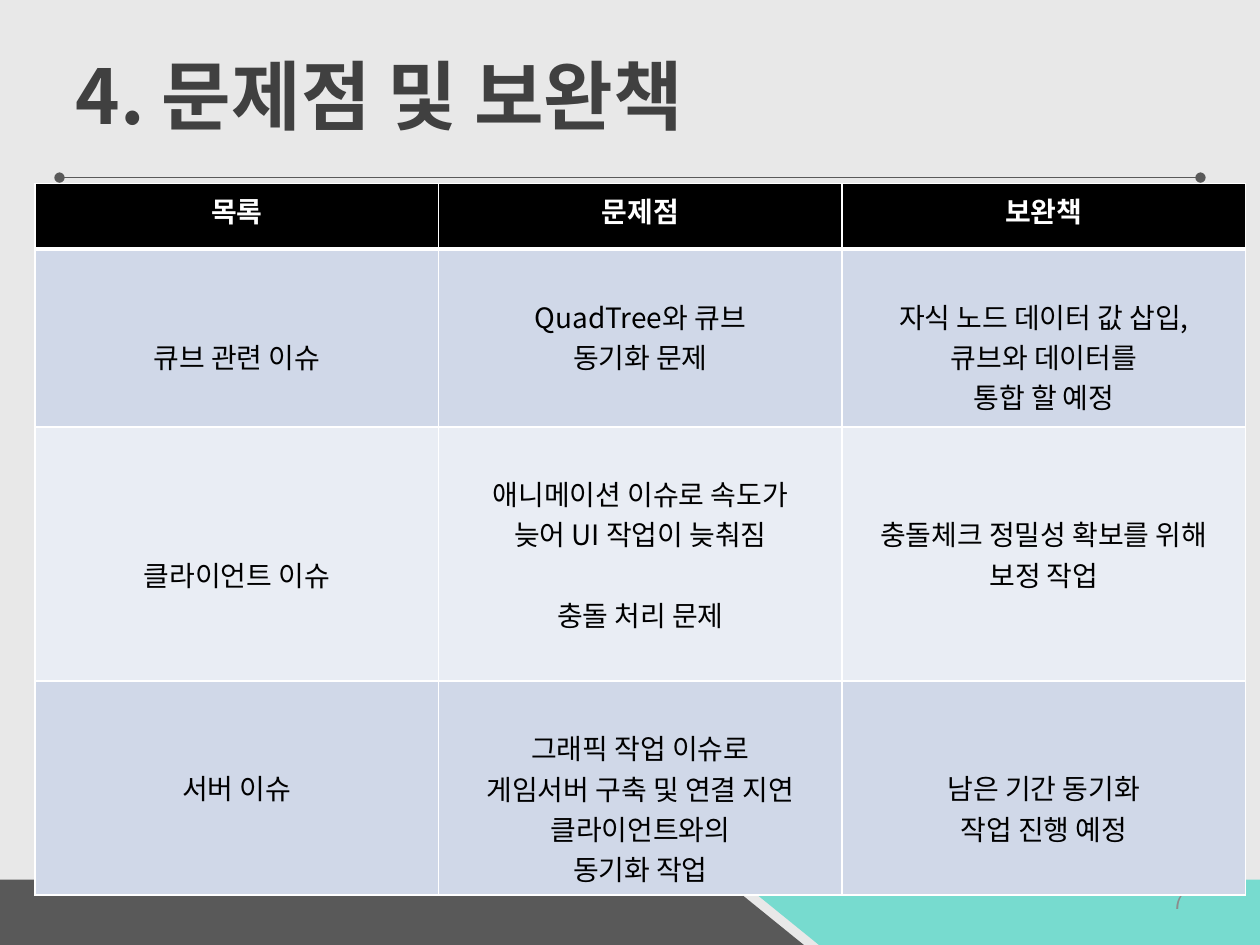
import pptx
import pptx.dml.color
import pptx.enum.shapes
import pptx.enum.text
import pptx.oxml
import pptx.oxml.ns
import pptx.util

Pt = pptx.util.Pt
ALIGN = pptx.enum.text.PP_ALIGN
MIDDLE = pptx.enum.text.MSO_ANCHOR.MIDDLE
FONT = "Noto Sans CJK KR"

# Content: each body cell is (lines left free above, paragraphs)
TITLE = "4. 문제점 및 보완책"
PAGE = "7"
HEADINGS = ["목록", "문제점", "보완책"]
ISSUES = [
    [
        (2, ["큐브 관련 이슈"]),
        (1, ["QuadTree와 큐브", "동기화 문제"]),
        (1, ["자식 노드 데이터 값 삽입,", "큐브와 데이터를", "통합 할 예정"]),
    ],
    [
        (3, ["클라이언트 이슈"]),
        (1, ["애니메이션 이슈로 속도가", "늦어 UI 작업이 늦춰짐", "충돌 처리 문제"]),
        (2, ["충돌체크 정밀성 확보를 위해 보정 작업"]),
    ],
    [
        (2, ["서버 이슈"]),
        (1, ["그래픽 작업 이슈로", "게임서버 구축 및 연결 지연", "클라이언트와의", "동기화 작업"]),
        (2, ["남은 기간 동기화", "작업 진행 예정"]),
    ],
]
GAP_BEFORE = "충돌 처리 문제"

# Layout
LINE_HEIGHT = 23
CELL_MARGIN = 3.6
COLUMN_WIDTH = 230.6
ROW_HEIGHTS = [37.4, 101.5, 145.2, 122.4]
BAND_FILLS = ["D0D8E8", "E9EDF4"]
BAND = [(-5.8, 502.6), (413.3, 502.6), (459.4, 540), (-5, 540)]
# The accent band is the dark band turned half a circle
ACCENT_BAND = [(881.3 - x, 1042.6 - y) for x, y in BAND]


def rgb(value):
    return pptx.dml.color.RGBColor.from_string(value)


def add_xml(parent, tag, content="", attributes=""):
    namespace = pptx.oxml.ns.nsdecls("a")
    parent.append(pptx.oxml.parse_xml(
        f"<a:{tag} {namespace} {attributes}>{content}</a:{tag}>"))


def style(paragraph, size, color, bold=False, align=ALIGN.CENTER):
    paragraph.alignment = align
    font = paragraph.font
    font.name, font.size, font.bold = FONT, Pt(size), bold
    font.color.rgb = rgb(color)
    defaults = paragraph._p.pPr.find(pptx.oxml.ns.qn("a:defRPr"))
    add_xml(defaults, "ea", attributes=f'typeface="{FONT}"')


def add_band(slide, points, color):
    builder = slide.shapes.build_freeform(
        Pt(points[0][0]), Pt(points[0][1]), scale=1.0)
    builder.add_line_segments([(Pt(x), Pt(y)) for x, y in points[1:]])
    band = builder.convert_to_shape()
    band.shadow.inherit = False
    band.fill.solid()
    band.fill.fore_color.rgb = rgb(color)
    band.line.fill.background()


def fill_cell(cell, paragraphs, fill, color, bold=False, free_lines=0,
              top=1, bottom=1):
    cell.text = "\n".join(paragraphs)
    cell.margin_top = Pt(CELL_MARGIN + free_lines * LINE_HEIGHT)
    for paragraph in cell.text_frame.paragraphs:
        style(paragraph, 16, color, bold)
        if paragraph.text == GAP_BEFORE:
            paragraph.space_before = Pt(LINE_HEIGHT)
    white = '<a:solidFill><a:srgbClr val="FFFFFF"/></a:solidFill>'
    for side, width in (("L", 1), ("R", 1), ("T", top), ("B", bottom)):
        add_xml(cell._tc.get_or_add_tcPr(), f"ln{side}", white, f'w="{Pt(width)}"')
    cell.fill.solid()
    cell.fill.fore_color.rgb = rgb(fill)


def main():
    deck = pptx.Presentation()
    deck.slide_width, deck.slide_height = Pt(720), Pt(540)
    slide = deck.slides.add_slide(deck.slide_layouts[5])
    slide.background.fill.solid()
    slide.background.fill.fore_color.rgb = rgb("E8E8E8")

    # Title
    title = slide.shapes.title
    title.left, title.top, title.width, title.height = Pt(36), Pt(15), Pt(648), Pt(90)
    title.text_frame.text = TITLE
    title.text_frame.vertical_anchor = MIDDLE
    heading = title.text_frame.paragraphs[0]
    heading.line_spacing = 0.7
    style(heading, 43.2, "404040", True, ALIGN.LEFT)

    # Rule with round ends under the title
    rule = slide.shapes.add_connector(
        pptx.enum.shapes.MSO_CONNECTOR.STRAIGHT,
        Pt(34), Pt(101.5), Pt(686), Pt(101.5))
    rule.line.color.rgb = rgb("595959")
    rule.line.width = Pt(0.75)
    for end in ("headEnd", "tailEnd"):
        add_xml(rule.line._get_or_add_ln(), end, attributes='type="oval"')
    add_xml(rule._element.spPr, "effectLst")

    # Footer bands and page number
    add_band(slide, BAND, "595959")
    add_band(slide, ACCENT_BAND, "77DBCF")
    page = slide.shapes.add_textbox(Pt(516), Pt(500.5), Pt(168), Pt(29)).text_frame
    page.word_wrap = True
    page.vertical_anchor = MIDDLE
    page.text = PAGE
    style(page.paragraphs[0], 12, "8C8C8C", align=ALIGN.RIGHT)

    # Issue table
    table = slide.shapes.add_table(
        len(ROW_HEIGHTS), len(HEADINGS), Pt(20), Pt(105),
        Pt(COLUMN_WIDTH * len(HEADINGS)), Pt(sum(ROW_HEIGHTS))).table
    for column in table.columns:
        column.width = Pt(COLUMN_WIDTH)
    for row, height in zip(table.rows, ROW_HEIGHTS):
        row.height = Pt(height)
    for c, text in enumerate(HEADINGS):
        fill_cell(table.cell(0, c), [text], "000000", "FFFFFF", True, bottom=3)
    for r, issue in enumerate(ISSUES, start=1):
        for c, (free_lines, paragraphs) in enumerate(issue):
            fill_cell(table.cell(r, c), paragraphs, BAND_FILLS[(r - 1) % 2],
                      "000000", free_lines=free_lines, top=3 if r == 1 else 1)

    deck.save("out.pptx")


if __name__ == "__main__":
    main()
